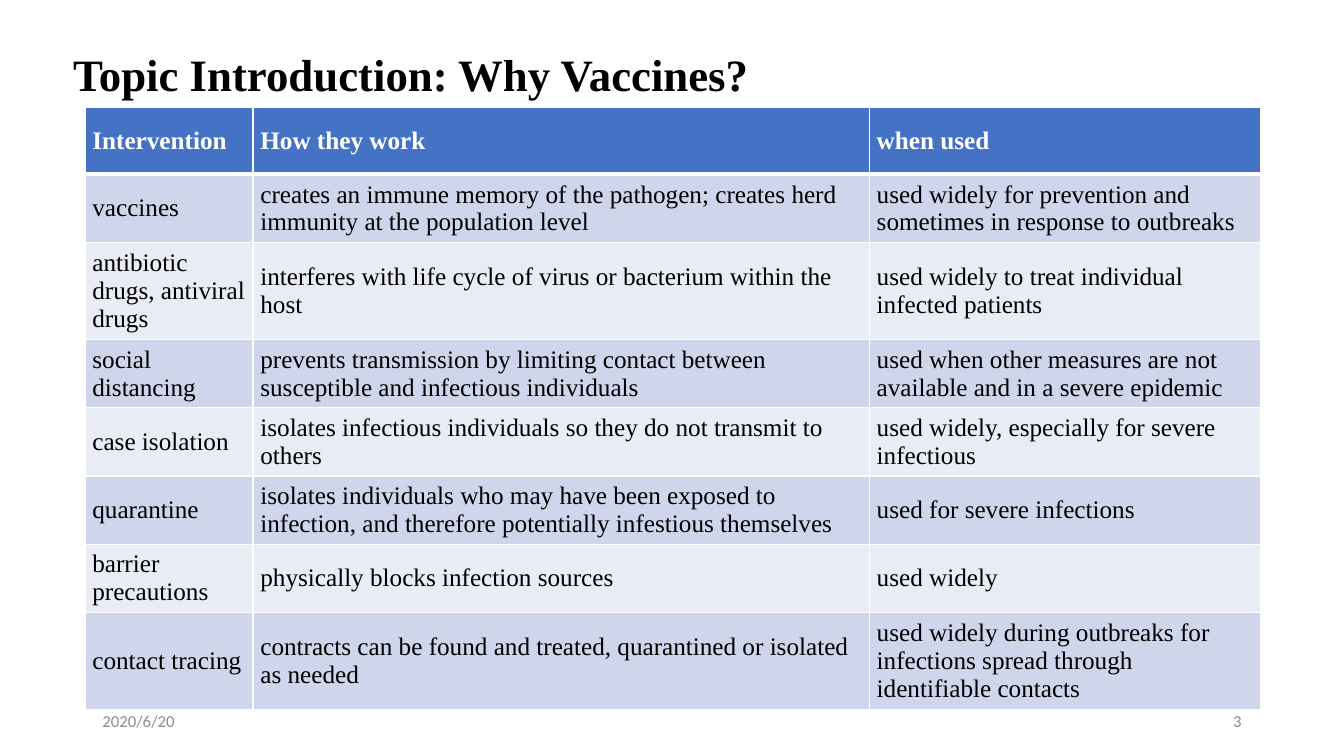
from pptx import Presentation
from pptx.dml.color import RGBColor as Rgb
from pptx.enum.text import MSO_ANCHOR as Anchor, PP_ALIGN as Align
from pptx.oxml import parse_xml
from pptx.oxml.ns import nsdecls
from pptx.util import Pt

PX = 9525
HUES = {
    "black": "000000", "white": "FFFFFF", "gray": "8C8C8C",
    "head": "4472C4", "odd": "CFD5EA", "even": "E9EBF5",
}
SERIF, SANS = "Times New Roman", "Calibri"
ROWS = [
    ("Intervention", "How they work", "when used"),
    ("vaccines",
     "creates an immune memory of the pathogen; creates herd immunity at the population level",
     "used widely for prevention and sometimes in response to outbreaks"),
    ("antibiotic drugs, antiviral drugs",
     "interferes with life cycle of virus or bacterium within the host",
     "used widely to treat individual infected patients"),
    ("social distancing",
     "prevents transmission by limiting contact between susceptible and infectious individuals",
     "used when other measures are not available and in a severe epidemic"),
    ("case isolation",
     "isolates infectious individuals so they do not transmit to others",
     "used widely, especially for severe infectious"),
    ("quarantine",
     "isolates individuals who may have been exposed to infection, "
     "and therefore potentially infestious themselves",
     "used for severe infections"),
    ("barrier precautions", "physically blocks infection sources", "used widely"),
    ("contact tracing",
     "contracts can be found and treated, quarantined or isolated as needed",
     "used widely during outbreaks for infections spread through identifiable contacts"),
]


class Page:
    def __init__(self, deck):
        self.slide = deck.slides.add_slide(deck.slide_layouts[5])

    def style(self, para, face, size, hue, bold=False, align=Align.LEFT):
        font = para.font
        font.name, font.size, font.bold = face, Pt(size), bold
        font.color.rgb = Rgb.from_string(HUES[hue])
        para.alignment = align

    def title(self, text, left, top, width, height):
        shape = self.slide.shapes.title
        shape.left, shape.top = left * PX, top * PX
        shape.width, shape.height = width * PX, height * PX
        frame = shape.text_frame
        frame.text = text
        frame.vertical_anchor = Anchor.BOTTOM
        para = frame.paragraphs[0]
        para.line_spacing = 0.9
        self.style(para, SERIF, 32, "black", True)

    def label(self, text, left, top, width, height, align):
        box = self.slide.shapes.add_textbox(left * PX, top * PX, width * PX, height * PX)
        frame = box.text_frame
        frame.word_wrap = True
        frame.vertical_anchor = Anchor.MIDDLE
        frame.text = text
        self.style(frame.paragraphs[0], SANS, 12, "gray", align=align)

    def edge(self, cell, side, width):
        cell._tc.get_or_add_tcPr().append(parse_xml(
            f'<a:ln{side} {nsdecls("a")} w="{Pt(width)}"><a:solidFill>'
            f'<a:srgbClr val="{HUES["white"]}"/></a:solidFill></a:ln{side}>'))

    def cell(self, cell, text, row):
        for side in "LRTB":
            thick = (row, side) in ((0, "B"), (1, "T"))
            self.edge(cell, side, 3 if thick else 1)
        cell.fill.solid()
        fill = "head" if row == 0 else "odd" if row % 2 else "even"
        cell.fill.fore_color.rgb = Rgb.from_string(HUES[fill])
        cell.margin_left = cell.margin_right = 7 * PX
        cell.margin_top = cell.margin_bottom = 3 * PX
        cell.vertical_anchor = Anchor.MIDDLE
        cell.text = text
        self.style(cell.text_frame.paragraphs[0], SERIF, 18,
                   "black" if row else "white", row == 0)

    def table(self, rows, left, top, widths, head, high):
        tall = head + high * (len(rows) - 1)
        grid = self.slide.shapes.add_table(
            len(rows), len(widths), left * PX, top * PX, sum(widths) * PX, tall * PX).table
        for col, width in zip(grid.columns, widths):
            col.width = width * PX
        for r, texts in enumerate(rows):
            grid.rows[r].height = (high if r else head) * PX
            for c, text in enumerate(texts):
                self.cell(grid.cell(r, c), text, r)


def main():
    deck = Presentation()
    deck.slide_width, deck.slide_height = 1280 * PX, 720 * PX
    page = Page(deck)
    page.label("2020/6/20", 88, 667, 288, 38, Align.LEFT)
    page.label("3", 904, 667, 288, 38, Align.RIGHT)
    page.title("Topic Introduction: Why Vaccines?", 60, 33, 907, 68)
    page.table(ROWS, 81, 102, (160, 587, 373), 64, 65)
    deck.save("out.pptx")


if __name__ == "__main__":
    main()
